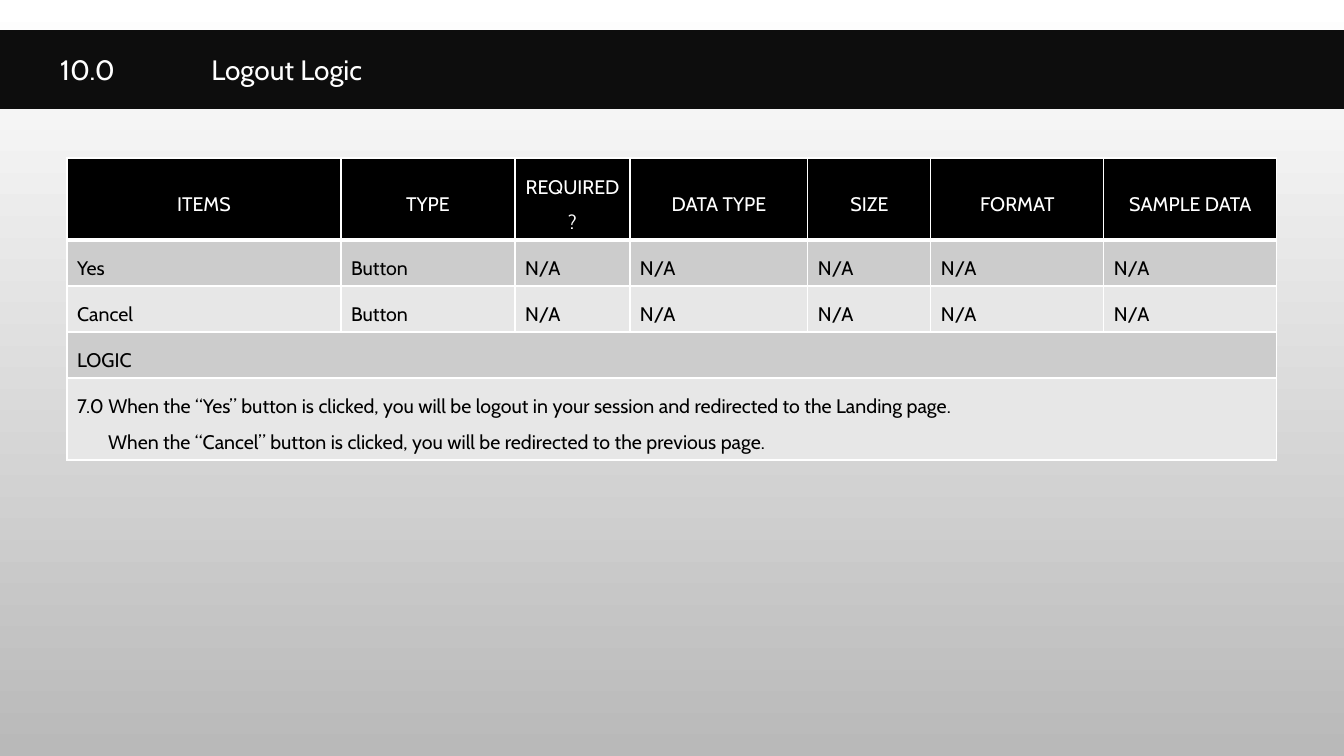
from lxml.etree import SubElement
from pptx import Presentation
from pptx.dml.color import RGBColor
from pptx.enum.text import MSO_ANCHOR as Anchor, MSO_AUTO_SIZE as AutoSize, PP_ALIGN as Align
from pptx.oxml.ns import qn
from pptx.util import Emu, Pt

TITLE_ONLY = 5
HEADERS = ["ITEMS", "TYPE", "REQUIRED?", "DATA TYPE", "SIZE", "FORMAT", "SAMPLE DATA"]
BUTTONS = ["Yes", "Cancel"]
LOGIC = [
    "7.0 When the “Yes” button is clicked, you will be logout in your session "
    "and redirected to the Landing page.",
    "When the “Cancel” button is clicked, you will be redirected to the previous page.",
]
COLUMN_WIDTHS = [274, 174, 115, 178, 123, 173, 173]
ROW_HEIGHTS = [82, 46, 46, 46, 82]


def px(length):
    return Emu(round(length * 12192000 / 1344))


def color(value):
    return RGBColor.from_string(value)


class SlideBuilder:
    font = "Cabin"
    white, black, band = "FFFFFF", "000000", "0D0D0D"
    stripes = ["CCCCCC", "E7E7E7"]

    def __init__(self, presentation):
        self.slide = presentation.slides.add_slide(presentation.slide_layouts[TITLE_ONLY])

    def background(self, top, bottom):
        fill = self.slide.background.fill
        fill.gradient()
        fill.gradient_angle = 270
        for stop, value in zip(fill.gradient_stops, (top, bottom)):
            stop.color.rgb = color(value)

    def add_text(self, paragraph, text, size, text_color, align=Align.LEFT, indent=0):
        properties = paragraph._p.get_or_add_pPr()
        properties.set("marL", str(px(indent)))
        properties.set("indent", "0")
        paragraph.alignment = align
        run = paragraph.add_run()
        run.text = text
        run.font.name = self.font
        run.font.size = Pt(size)
        run.font.color.rgb = color(text_color)

    def title(self, text, left, top, width, height):
        shape = self.slide.shapes.title
        shape.left, shape.top, shape.width, shape.height = map(px, (left, top, width, height))
        shape.fill.solid()
        shape.fill.fore_color.rgb = color(self.band)
        frame = shape.text_frame
        frame.auto_size = AutoSize.NONE
        frame.vertical_anchor = Anchor.MIDDLE
        self.add_text(frame.paragraphs[0], text, 20, self.white, indent=50)

    def table(self, left, top, widths, heights):
        frame = self.slide.shapes.add_table(
            len(heights), len(widths), px(left), px(top), px(sum(widths)), px(sum(heights)))
        table = frame.table
        table.first_row = table.horz_banding = False
        for column, width in zip(table.columns, widths):
            column.width = px(width)
        for row, height in zip(table.rows, heights):
            row.height = px(height)
        for row in range(len(heights)):
            fill = self.stripes[(row - 1) % 2] if row else self.black
            for column in range(len(widths)):
                self.style_cell(table.cell(row, column), fill,
                                top=3 if row == 1 else 1, bottom=1 if row else 3)
        return table

    def style_cell(self, cell, fill, top, bottom):
        properties = cell._tc.get_or_add_tcPr()
        for side, points in (("L", 1), ("R", 1), ("T", top), ("B", bottom)):
            line = SubElement(properties, qn(f"a:ln{side}"), w=str(Pt(points)))
            solid = SubElement(line, qn("a:solidFill"))
            SubElement(solid, qn("a:srgbClr"), val=self.white)
        cell.fill.solid()
        cell.fill.fore_color.rgb = color(fill)

    def cell_text(self, cell, lines, header=False, hanging=0):
        cell.vertical_anchor = Anchor.MIDDLE if header else Anchor.TOP
        frame = cell.text_frame
        for index, text in enumerate(lines):
            paragraph = frame.add_paragraph() if index else frame.paragraphs[0]
            paragraph.line_spacing = 1.5
            self.add_text(paragraph, text, 14, self.white if header else self.black,
                          Align.CENTER if header else Align.LEFT, hanging if index else 0)


def main():
    presentation = Presentation()
    presentation.slide_width, presentation.slide_height = px(1344), px(756)
    builder = SlideBuilder(presentation)

    # Background and title band
    builder.background("FFFFFF", "B9B9B9")
    builder.title("10.0\t\tLogout Logic", 0, 30, 1344, 79)

    # Header and button rows
    table = builder.table(67, 158, COLUMN_WIDTHS, ROW_HEIGHTS)
    rows = [HEADERS] + [[name, "Button"] + ["N/A"] * 5 for name in BUTTONS]
    for row, values in enumerate(rows):
        for column, value in enumerate(values):
            builder.cell_text(table.cell(row, column), [value], header=row == 0)

    # Full-width logic rows
    for row, lines in enumerate([["LOGIC"], LOGIC], start=len(rows)):
        cell = table.cell(row, 0)
        cell.merge(table.cell(row, len(HEADERS) - 1))
        builder.cell_text(cell, lines, hanging=31)

    presentation.save("out.pptx")


if __name__ == "__main__":
    main()
